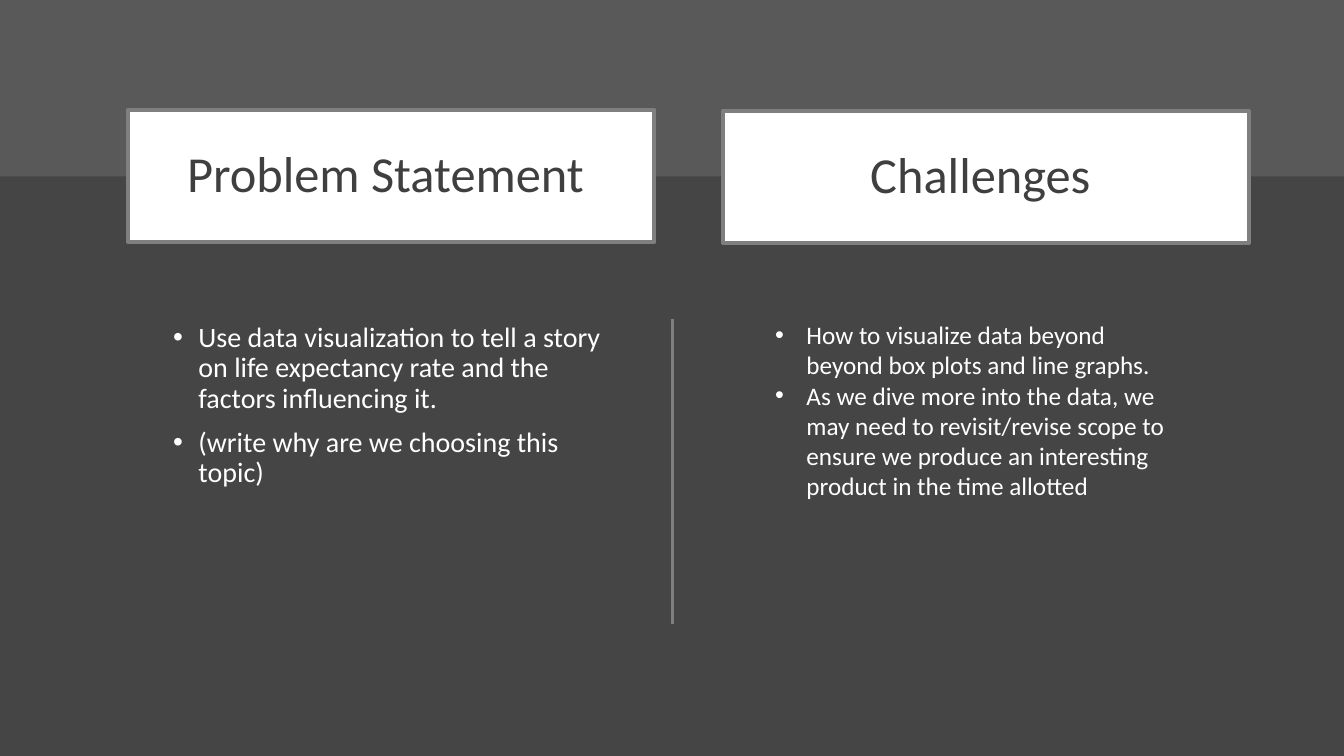
from lxml import etree
from pptx import Presentation
from pptx import util as u
from pptx.dml.color import RGBColor
from pptx.enum import shapes, text
from pptx.oxml.ns import qn

CHARCOAL = RGBColor(0x45, 0x45, 0x45)
BAND_GRAY = RGBColor(0x59, 0x59, 0x59)
RULE_GRAY = RGBColor(0x7F, 0x7F, 0x7F)
HEADING_GRAY = RGBColor(0x3F, 0x3F, 0x3F)
WHITE = RGBColor(0xFF, 0xFF, 0xFF)


class ComparisonSlide:
    font_name = "Calibri"

    def __init__(self, deck):
        self.slide = deck.slides.add_slide(deck.slide_layouts[6])
        background = self.slide.background.fill
        background.solid()
        background.fore_color.rgb = CHARCOAL

    def style_font(self, paragraph, size, color):
        paragraph.font.name = self.font_name
        paragraph.font.size = u.Pt(size)
        paragraph.font.color.rgb = color

    def panel(self, left, top, width, height, fill):
        box = self.slide.shapes.add_shape(
            shapes.MSO_SHAPE.RECTANGLE,
            u.Inches(left), u.Inches(top), u.Inches(width), u.Inches(height))
        box.shadow.inherit = False
        box.fill.solid()
        box.fill.fore_color.rgb = fill
        box.line.fill.background()
        return box

    def heading(self, left, top, wording):
        box = self.panel(left, top, 5.22, 1.31, WHITE)
        box.line.color.rgb = RULE_GRAY
        box.line.width = u.Pt(3)
        frame = box.text_frame
        frame.word_wrap = True
        frame.vertical_anchor = text.MSO_ANCHOR.MIDDLE
        title = frame.paragraphs[0]
        title.text = wording
        title.alignment = text.PP_ALIGN.CENTER
        title.line_spacing = 0.9
        self.style_font(title, 36, HEADING_GRAY)

    def bullets(self, left, top, width, height, points, size, indent,
                line_spacing=1.0, space_before=0, grow=False):
        box = self.slide.shapes.add_textbox(
            u.Inches(left), u.Inches(top), u.Inches(width), u.Inches(height))
        frame = box.text_frame
        frame.word_wrap = True
        if grow:
            frame.auto_size = text.MSO_AUTO_SIZE.SHAPE_TO_FIT_TEXT
        for index, point in enumerate(points):
            item = frame.add_paragraph() if index else frame.paragraphs[0]
            item.text = point
            item.line_spacing = line_spacing
            item.space_before = u.Pt(space_before)
            self.style_font(item, size, WHITE)
            self.mark_bullet(item, indent)

    @staticmethod
    def mark_bullet(paragraph, indent):
        """Give the paragraph a round bullet and a hanging indent in inches."""
        properties = paragraph._p.get_or_add_pPr()
        properties.set("marL", str(u.Inches(indent)))
        properties.set("indent", str(-u.Inches(indent)))
        bullet_font = etree.Element(qn("a:buFont"), typeface="Arial")
        bullet = etree.Element(qn("a:buChar"), char="•")
        properties.find(qn("a:defRPr")).addprevious(bullet_font)
        bullet_font.addnext(bullet)

    def divider(self, x, top, bottom):
        rule = self.slide.shapes.add_connector(
            shapes.MSO_CONNECTOR.STRAIGHT,
            u.Inches(x), u.Inches(top), u.Inches(x), u.Inches(bottom))
        rule.line.color.rgb = RULE_GRAY
        rule.line.width = u.Pt(1.5)
        etree.SubElement(rule._element.spPr, qn("a:effectLst"))


def main():
    deck = Presentation()
    deck.slide_width = u.Inches(13.33)
    deck.slide_height = u.Inches(7.5)

    page = ComparisonSlide(deck)
    page.panel(0, 0, 13.33, 1.75, BAND_GRAY)

    # The trailing space in each heading is part of its centring.
    page.heading(1.27, 1.09, "Problem Statement ")
    page.bullets(1.62, 3.16, 4.7, 3.24, [
        "Use data visualization to tell a story on life expectancy rate "
        "and the factors influencing it.",
        "(write why are we choosing this topic)",
    ], size=20, indent=0.25, line_spacing=0.9, space_before=10)

    page.divider(6.67, 3.16, 6.19)

    page.heading(7.17, 1.1, "Challenges ")
    page.bullets(7.59, 3.12, 4.12, 2.22, [
        "How to visualize data beyond beyond box plots and line graphs.",
        "As we dive more into the data, we may need to revisit/revise scope "
        "to ensure we produce an interesting product in the time allotted",
    ], size=18, indent=0.31, grow=True)

    deck.save("out.pptx")


if __name__ == "__main__":
    main()
